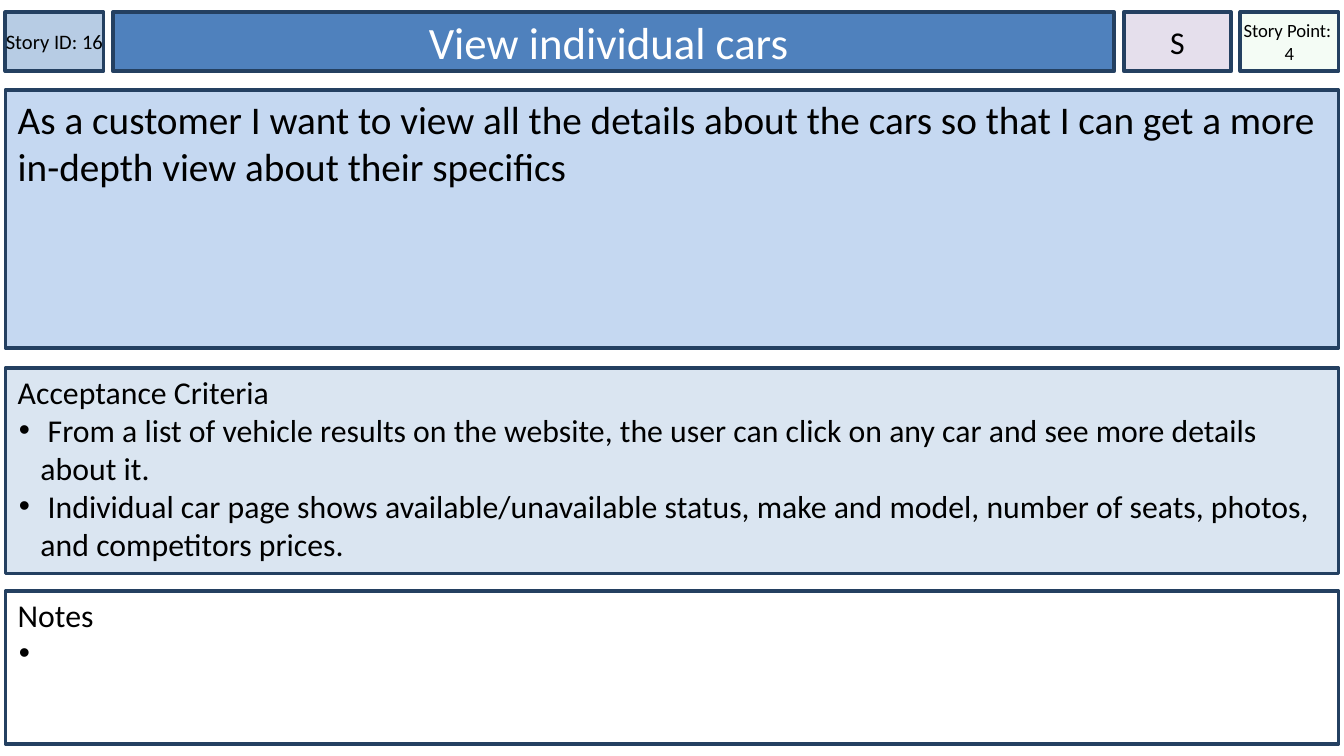
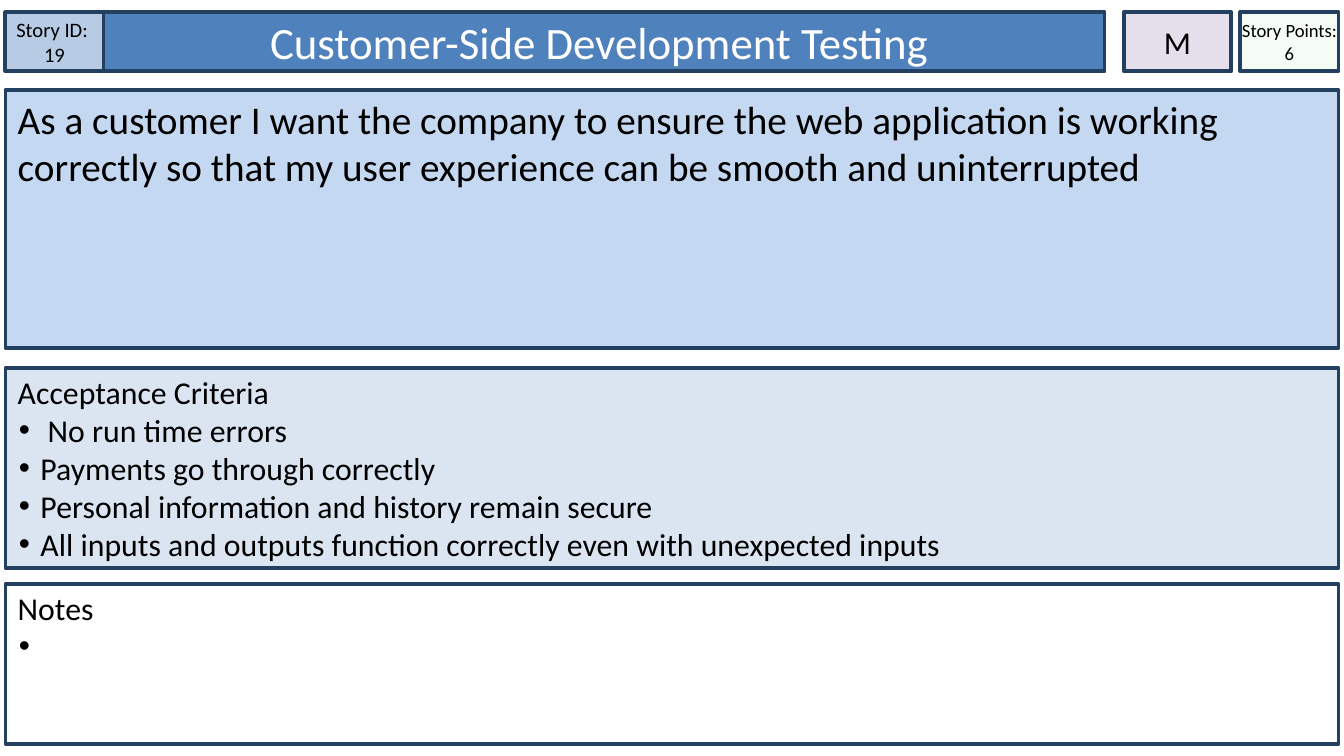
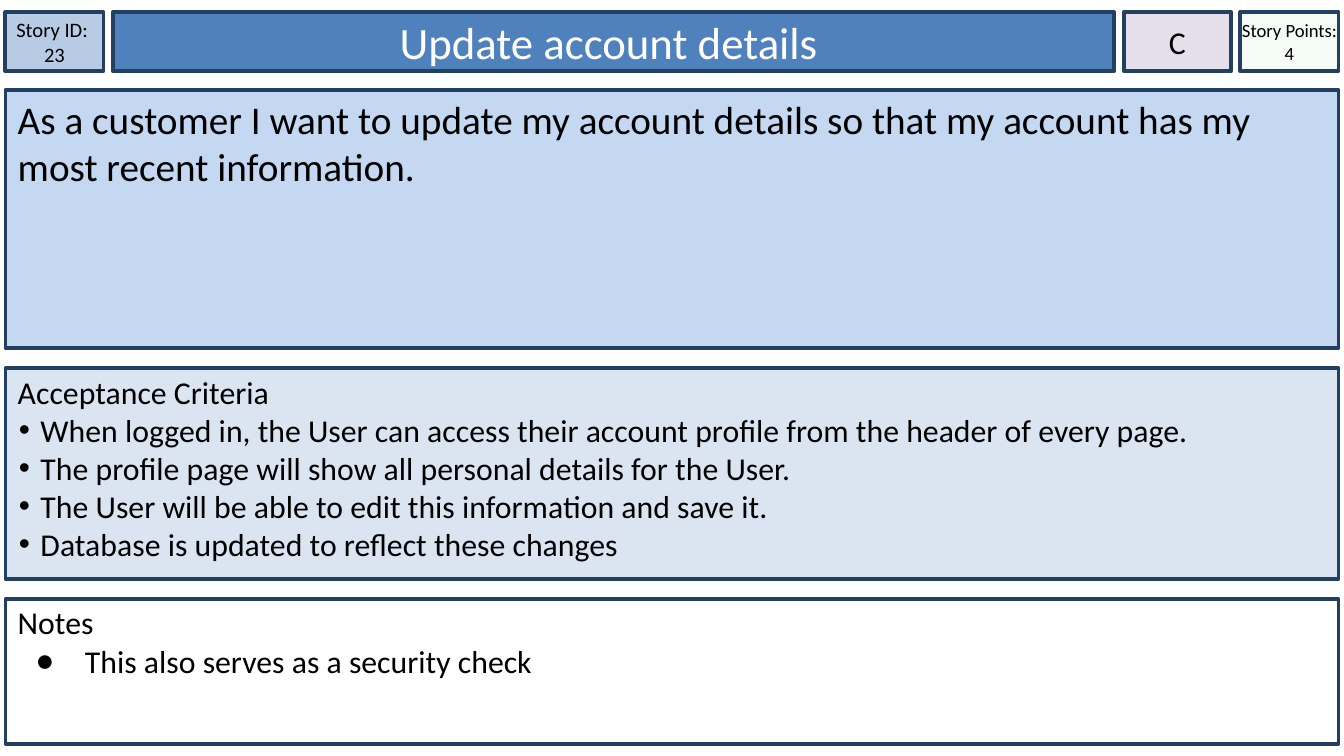
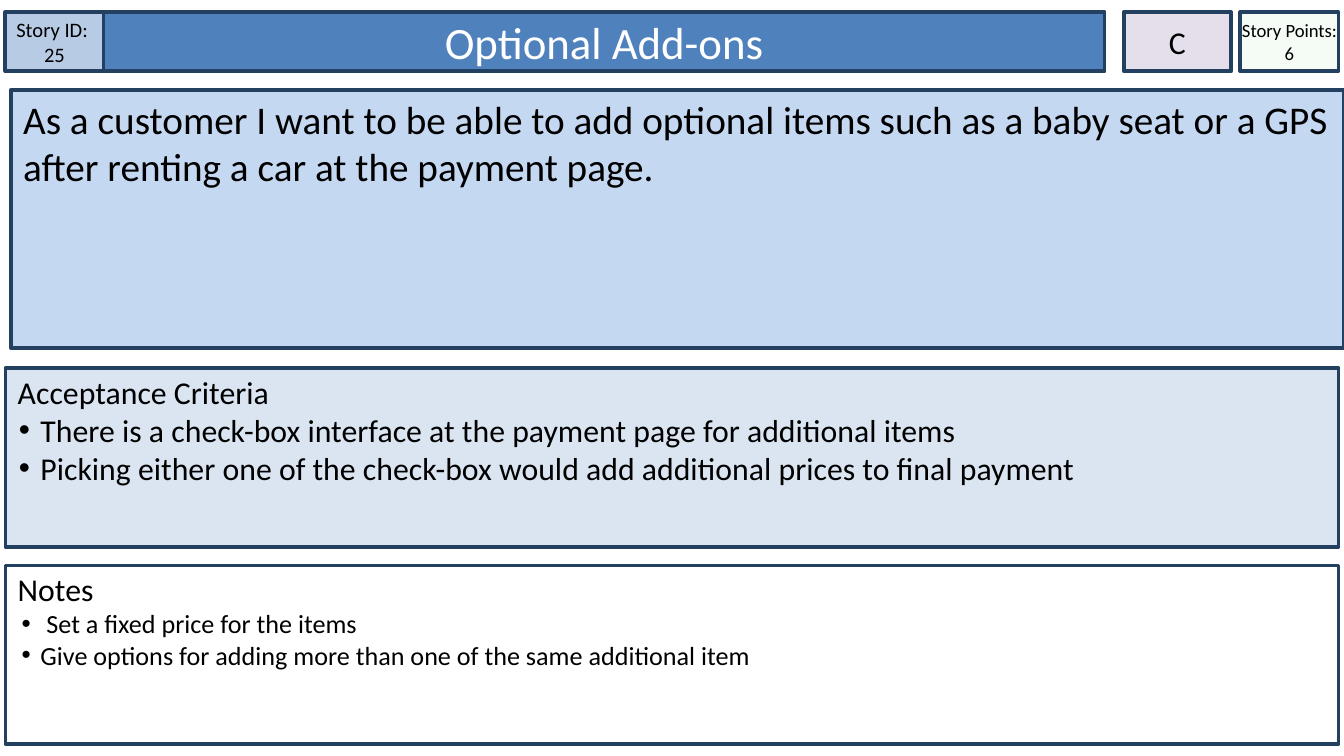
import pptx
import pptx.util
import pptx.dml.color
import pptx.enum.shapes
import pptx.enum.text
import pptx.oxml
import pptx.oxml.ns
from dataclasses import dataclass
from lxml import etree

Pt = pptx.util.Pt
RGB = pptx.dml.color.RGBColor.from_string
Align = pptx.enum.text.PP_ALIGN
Anchor = pptx.enum.text.MSO_ANCHOR
qn = pptx.oxml.ns.qn


@dataclass(frozen=True)
class Theme:
    font: str = "Calibri"
    ink: str = "000000"
    light: str = "FFFFFF"
    edge: str = "244061"
    badge: str = "B7CCE4"
    title: str = "4F81BD"
    story: str = "C5D8F1"
    rules: str = "DAE5F1"
    rank: str = "E5DFEC"
    score: str = "CCF0CD"
    tiny: int = 10
    small: int = 11
    note: int = 14
    body: int = 17
    lead: int = 21
    head: int = 24


@dataclass(frozen=True)
class Bullet:
    sign: str = "•"
    left: float = 12.2
    hang: float = 11.5
    size: int = Theme.body


# Layout in points
LEFT, WIDE = 2.9, 714.2
TOP, HIGH = 6.5, 31.7
SIDE = 52.6
STORY_Y, STORY_H = 48.2, 138.2
RULES_Y = 197.3
FOOT = 398.5


class Card:
    def __init__(self, deck, theme):
        self.deck = deck
        self.theme = theme
        self.slide = None

    def start(self):
        self.slide = self.deck.slides.add_slide(self.deck.slide_layouts[6])

    def box(self, x, y, w, h, fill, pad=(6.6, 3, 6.6, 3), alpha=None):
        """Add an outlined rectangle and return its text frame."""
        shape = self.slide.shapes.add_shape(
            pptx.enum.shapes.MSO_SHAPE.RECTANGLE, Pt(x), Pt(y), Pt(w), Pt(h))
        shape.shadow.inherit = False
        shape.fill.solid()
        shape.fill.fore_color.rgb = RGB(fill)
        if alpha:
            tint = shape._element.spPr.find(qn("a:solidFill") + "/" + qn("a:srgbClr"))
            etree.SubElement(tint, qn("a:alpha"), val=str(alpha * 1000))
        shape.line.color.rgb = RGB(self.theme.edge)
        shape.line.width = Pt(2)
        frame = shape.text_frame
        frame.word_wrap = True
        frame.margin_left, frame.margin_top, frame.margin_right, frame.margin_bottom = map(Pt, pad)
        return frame

    def text(self, frame, words, size, color=None, align=Align.LEFT, bullet=None):
        """Add a paragraph, using the empty first one if there is one."""
        para = frame.paragraphs[0]
        if para.runs:
            para = frame.add_paragraph()
        para.alignment = align
        if bullet:
            self.mark(para, bullet)
        para.add_run().text = words
        para.font.name = self.theme.font
        para.font.size = Pt(size)
        para.font.color.rgb = RGB(color or self.theme.ink)

    def mark(self, para, bullet):
        props = para._p.get_or_add_pPr()
        props.set("marL", str(Pt(bullet.left)))
        props.set("indent", str(-Pt(bullet.hang)))
        tint = etree.SubElement(props, qn("a:buClr"))
        etree.SubElement(tint, qn("a:srgbClr"), val=self.theme.ink)
        etree.SubElement(props, qn("a:buFont"), typeface="Arial")
        etree.SubElement(props, qn("a:buChar"), char=bullet.sign)

    def label(self, x, w, lines, fill, size, color=None, side=0, alpha=None):
        """Add a centred box to the top row."""
        frame = self.box(x, TOP, w, HIGH, fill, (side, 3, side, 3), alpha)
        frame.vertical_anchor = Anchor.MIDDLE
        for line in lines:
            self.text(frame, line, size, color, Align.CENTER)

    def story(self, words, x):
        frame = self.box(x, STORY_Y, WIDE, STORY_H, self.theme.story)
        frame.vertical_anchor = Anchor.TOP
        self.text(frame, words, self.theme.lead)

    def panel(self, y, h, fill, head, items, bullet):
        frame = self.box(LEFT, y, WIDE, h, fill, (6.6, 2.2, 6.6, 3))
        frame.vertical_anchor = Anchor.TOP
        self.text(frame, head, self.theme.body)
        for item in items:
            self.text(frame, item, bullet.size, bullet=bullet)

    def build(self, badge, title, rank, score, story, rules, notes, rules_h,
              notes_y, title_x=60.5, story_x=LEFT, bullet=Bullet()):
        look = self.theme
        self.start()
        self.label(LEFT, SIDE, badge, look.badge, look.small)
        self.label(title_x, 536.4, [title], look.title, look.head, look.light, side=6.6)
        self.story(story, story_x)
        self.panel(RULES_Y, rules_h, look.rules, "Acceptance Criteria", rules, Bullet())
        self.label(LEFT + WIDE - SIDE, SIDE, score, look.score, look.tiny, alpha=20)
        self.label(602, 57.6, [rank], look.rank, look.body)
        self.panel(notes_y, FOOT - notes_y, look.light, "Notes", notes, bullet)


CARDS = [
    dict(
        badge=["Story ID: 16"], title="View individual cars ", rank="S",
        score=["Story Point: ", "4"],
        story="As a customer I want to view all the details about the cars so that "
              "I can get a more in-depth view about their specifics",
        rules=[
            " From a list of vehicle results on the website, the user can click on "
            "any car and see more details about it.",
            " Individual car page shows available/unavailable status, make and model, "
            "number of seats, photos, and competitors prices.",
        ],
        notes=[" "], rules_h=110, notes_y=316.8),
    dict(
        badge=["Story ID: ", "19"], title="Customer-Side Development Testing ", rank="M",
        score=["Story Points: 6"],
        story="As a customer I want the company to ensure the web application is working "
              "correctly so that my user experience can be smooth and uninterrupted",
        rules=[
            " No run time errors",
            "Payments go through correctly",
            "Personal information and history remain secure",
            "All inputs and outputs function correctly even with unexpected inputs",
        ],
        notes=[" "], rules_h=107, notes_y=313, title_x=55.4),
    dict(
        badge=["Story ID: ", "23"], title="Update account details ", rank="C",
        score=["Story Points: 4"],
        story="As a customer I want to update my account details so that my account "
              "has my most recent information.",
        rules=[
            "When logged in, the User can access their account profile from the header "
            "of every page.",
            "The profile page will show all personal details for the User.",
            "The User will be able to edit this information and save it.",
            "Database is updated to reflect these changes",
        ],
        notes=["This also serves as a security check"], rules_h=113, notes_y=321,
        bullet=Bullet("●", 36, 26.6)),
    dict(
        badge=["Story ID: ", "25"], title="Optional Add-ons", rank="C",
        score=["Story Points: 6"],
        story="As a customer I want to be able to add optional items such as a baby seat "
              "or a GPS after renting a car at the payment page.",
        rules=[
            "There is a check-box interface at the payment page for additional items",
            "Picking either one of the check-box would add additional prices to final payment",
        ],
        notes=[
            " Set a fixed price for the items",
            "Give options for adding more than one of the same additional item",
        ],
        rules_h=95.8, notes_y=303, title_x=55.4, story_x=5.8,
        bullet=Bullet(hang=10.1, size=Theme.note)),
]


def main():
    deck = pptx.Presentation()
    deck.slide_width, deck.slide_height = Pt(720), Pt(405)
    card = Card(deck, Theme())
    for facts in CARDS:
        card.build(**facts)
    deck.save("out.pptx")


if __name__ == "__main__":
    main()
